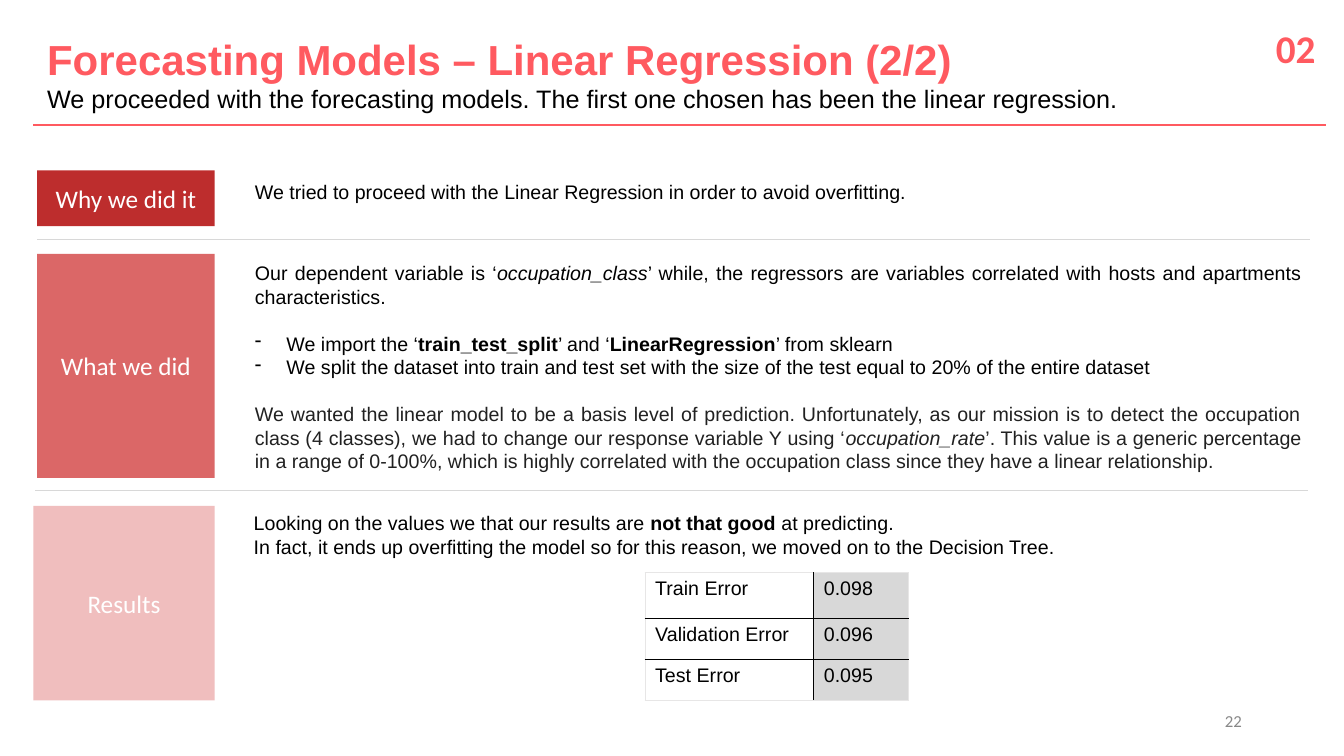
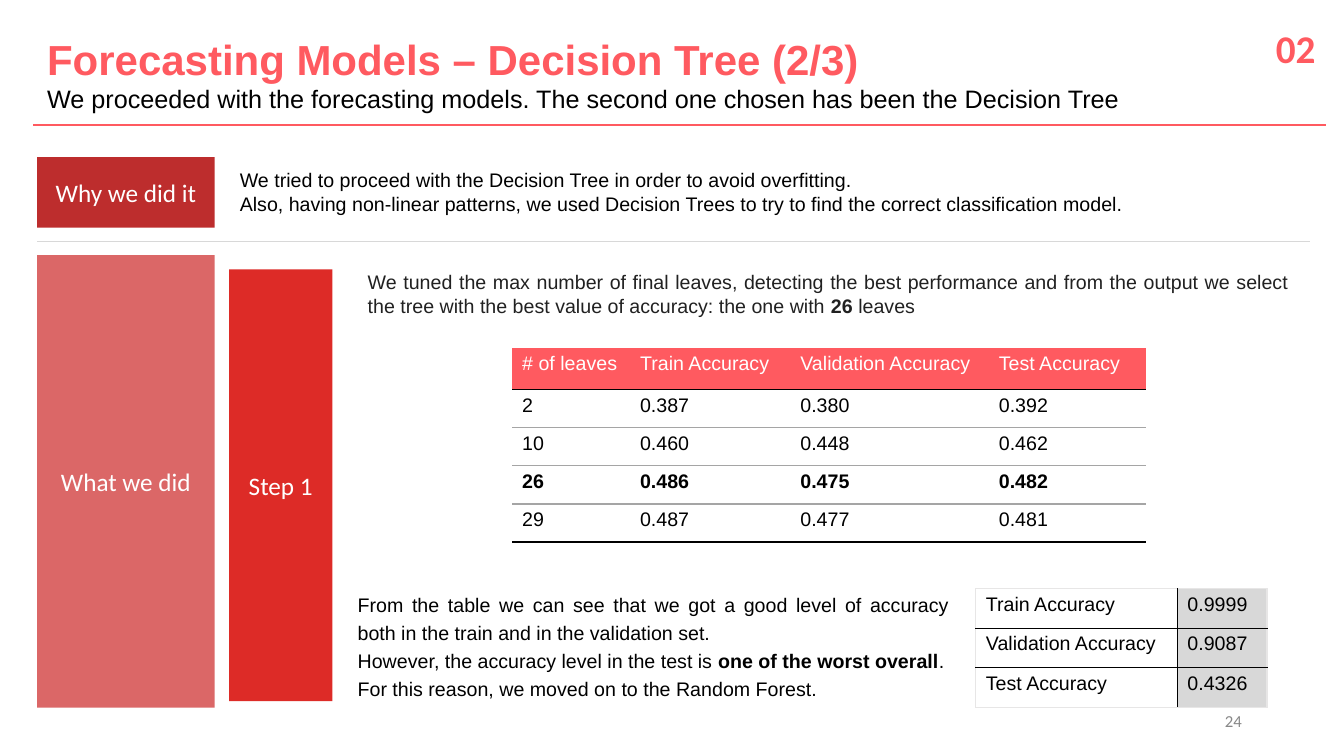
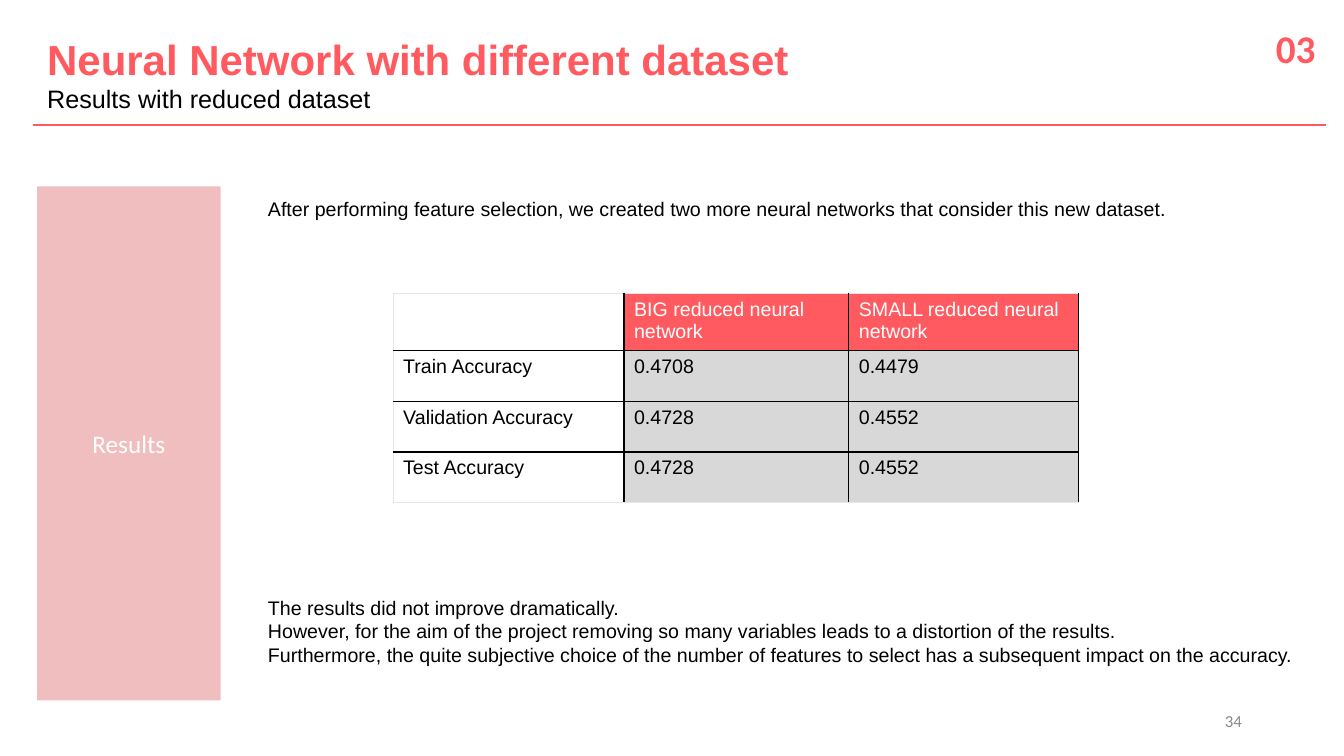
from pptx import Presentation
from pptx.dml.color import RGBColor
from pptx.enum.shapes import MSO_CONNECTOR, MSO_SHAPE
from pptx.enum.text import MSO_ANCHOR, PP_ALIGN
from pptx.oxml.ns import qn
from pptx.util import Pt
from lxml import etree

STRAIGHT = MSO_CONNECTOR.STRAIGHT
RECTANGLE = MSO_SHAPE.RECTANGLE
TOP, MIDDLE = MSO_ANCHOR.TOP, MSO_ANCHOR.MIDDLE
LEFT, CENTER, RIGHT, JUSTIFY = (
    PP_ALIGN.LEFT, PP_ALIGN.CENTER, PP_ALIGN.RIGHT, PP_ALIGN.JUSTIFY)

CORAL = RGBColor(0xFF, 0x5A, 0x60)
DARK_RED = RGBColor(0xBD, 0x2D, 0x2D)
STEP_RED = RGBColor(0xDD, 0x2B, 0x27)
ROSE = RGBColor(0xDB, 0x67, 0x67)
PINK = RGBColor(0xF0, 0xBE, 0xBE)
BLACK = RGBColor(0, 0, 0)
WHITE = RGBColor(0xFF, 0xFF, 0xFF)
CHARCOAL = RGBColor(0x21, 0x21, 0x21)
PAGE_GREY = RGBColor(0x88, 0x88, 0x88)
MID_GREY = RGBColor(0xA5, 0xA5, 0xA5)
CELL_GREY = RGBColor(0xD8, 0xD8, 0xD8)
EDGE_GREY = RGBColor(0xE7, 0xE6, 0xE6)

# Text styles
TITLE = {"name": "Arial", "size": Pt(30), "bold": True, "color": CORAL}
SUBTITLE = {"name": "Arial", "size": Pt(18), "color": BLACK}
SECTION = {"name": "Calibri", "size": Pt(28), "bold": True, "color": CORAL}
PAGE = {"name": "Calibri", "size": Pt(12), "color": PAGE_GREY}
LABEL = {"name": "Calibri", "size": Pt(18), "color": WHITE}
BODY = {"name": "Arial", "size": Pt(14), "color": BLACK}
DARK_BODY = {**BODY, "color": CHARCOAL}
HEADER = {**BODY, "color": WHITE}
BOLD, ITALIC = {"bold": True}, {"italic": True}

# Table border colours: outer sides, inner lines, line under the first row
FRAMED = {"left": EDGE_GREY, "top": EDGE_GREY, "right": EDGE_GREY,
          "bottom": EDGE_GREY, "column": BLACK, "row": BLACK, "first": BLACK}
RULED = {"left": None, "top": None, "right": None, "bottom": BLACK,
         "column": None, "row": MID_GREY, "first": BLACK}


def set_values(target, values):
    for name, value in values.items():
        if name == "color":
            target.color.rgb = value
        else:
            setattr(target, name, value)


def para(*spans, style=BODY, bullet=None, **values):
    """Describe a paragraph; a span is a text or a (text, format) pair."""
    return spans, style, bullet, values


def add_bullet(paragraph, mark):
    properties = paragraph._p.get_or_add_pPr()
    indent = Pt(22.5)
    properties.set("marL", str(indent))
    properties.set("indent", str(-indent))
    etree.SubElement(properties, qn("a:buChar")).set("char", mark)


def write(frame, paragraphs, align=LEFT):
    for index, (spans, style, bullet, values) in enumerate(paragraphs):
        paragraph = frame.add_paragraph() if index else frame.paragraphs[0]
        set_values(paragraph, {"alignment": align, **values})
        if bullet:
            add_bullet(paragraph, bullet)
        for span in spans:
            text, extra = (span, {}) if isinstance(span, str) else span
            run = paragraph.add_run()
            run.text = text
            set_values(run.font, {**style, **extra})


def add_text(slide, left, top, width, height, paragraphs, align=LEFT,
             **frame_values):
    box = slide.shapes.add_textbox(Pt(left), Pt(top), Pt(width), Pt(height))
    set_values(box.text_frame, {"word_wrap": True, "vertical_anchor": TOP,
                                **frame_values})
    write(box.text_frame, paragraphs, align)


def add_label(slide, left, top, width, height, text, color):
    box = slide.shapes.add_shape(RECTANGLE, Pt(left), Pt(top), Pt(width),
                                 Pt(height))
    box.shadow.inherit = False
    box.fill.solid()
    box.fill.fore_color.rgb = color
    box.line.fill.background()
    box.text_frame.vertical_anchor = MIDDLE
    write(box.text_frame, [para(text, style=LABEL)], CENTER)


def add_rule(slide, left, right, y, color=CELL_GREY, width=0.75):
    rule = slide.shapes.add_connector(STRAIGHT, Pt(left), Pt(y), Pt(right),
                                      Pt(y))
    rule.line.color.rgb = color
    rule.line.width = Pt(width)
    etree.SubElement(rule._element.spPr, qn("a:effectLst"))


def set_borders(cell, colors):
    properties = cell._tc.get_or_add_tcPr()
    for index, (tag, color) in enumerate(zip("LRTB", colors)):
        line = etree.Element(qn(f"a:ln{tag}"), w=str(Pt(1)))
        if color is None:
            etree.SubElement(line, qn("a:noFill"))
        else:
            fill = etree.SubElement(line, qn("a:solidFill"))
            etree.SubElement(fill, qn("a:srgbClr")).set("val", str(color))
        properties.insert(index, line)


def add_grid(slide, left, top, widths, heights, rows, borders, header=False,
             value_fill=None, bold_row=None):
    """Add a table; value_fill colours the cells right of the first column."""
    table = slide.shapes.add_table(
        len(rows), len(widths), Pt(left), Pt(top), Pt(sum(widths)),
        Pt(sum(heights))).table
    table.first_row = table.horz_banding = False
    for column, width in zip(table.columns, widths):
        column.width = Pt(width)
    for row, height in zip(table.rows, heights):
        row.height = Pt(height)

    across = [borders["left"], *[borders["column"]] * (len(widths) - 1),
              borders["right"]]
    down = [borders["top"], borders["first"],
            *[borders["row"]] * (len(rows) - 2), borders["bottom"]]
    for r, texts in enumerate(rows):
        for c, text in enumerate(texts):
            cell = table.cell(r, c)
            is_header = header and r == 0 and text
            fill = CORAL if is_header else value_fill if c else None
            if fill is None:
                cell.fill.background()
            else:
                cell.fill.solid()
                cell.fill.fore_color.rgb = fill
            set_borders(cell, (across[c], across[c + 1], down[r], down[r + 1]))
            if text:
                style = HEADER if is_header else BODY
                write(cell.text_frame,
                      [para(text, style={**style, "bold": r == bold_row})])


def add_page(deck, title, subtitle, section, number):
    """Add a slide with the shared title, rule, section and page number."""
    slide = deck.slides.add_slide(deck.slide_layouts[6])
    add_text(slide, 26.6, 27.4, 911, 50.4,
             [para(title, style=TITLE), para(subtitle, style=SUBTITLE)],
             vertical_anchor=MIDDLE)
    add_rule(slide, 23.8, 947.5, 89.3, CORAL, 1.5)
    add_text(slide, 904.3, 13.7, 43.2, 41, [para(section, style=SECTION)],
             word_wrap=False)
    add_text(slide, 678.2, 500.4, 216, 28.8, [para(number, style=PAGE)],
             RIGHT, vertical_anchor=MIDDLE)
    return slide


def build_regression(deck):
    slide = add_page(
        deck, "Forecasting Models – Linear Regression (2/2)",
        "We proceeded with the forecasting models. The first one chosen has "
        "been the linear regression.", "02", "22")

    # Why
    add_label(slide, 26.6, 121.7, 126.7, 39.8, "Why we did it", DARK_RED)
    add_text(slide, 175, 125.3, 762, 24.5, [
        para("We tried to proceed with the Linear Regression in order to "
             "avoid overfitting.")], JUSTIFY)
    add_rule(slide, 26.6, 936, 171.2)

    # What
    add_label(slide, 26.6, 181.4, 126.7, 160, "What we did", ROSE)
    add_text(slide, 175, 182.9, 762, 160, [
        para("Our dependent variable is ‘", ("occupation_class", ITALIC),
             "’ while, the regressors are variables correlated with hosts "
             "and apartments characteristics."),
        para("We import the ‘", ("train_test_split", BOLD), "’ and ‘",
             ("LinearRegression", BOLD), "’ from sklearn",
             bullet="-", space_before=Pt(16.8)),
        para("We split the dataset into train and test set with the size of "
             "the test equal to 20% of the entire dataset", bullet="-"),
        para("We wanted the linear model to be a basis level of prediction. "
             "Unfortunately, as our mission is to detect the occupation "
             "class (4 classes), we had to change our response variable Y "
             "using ‘", ("occupation_rate", ITALIC),
             "’. This value is a generic percentage in a range of 0-100%, "
             "which is highly correlated with the occupation class since "
             "they have a linear relationship.",
             style=DARK_BODY, space_before=Pt(16.8))], JUSTIFY)
    add_rule(slide, 25.2, 934.6, 350.6)

    # Results
    add_label(slide, 23.8, 361.4, 129.6, 139, "Results", PINK)
    add_text(slide, 174.2, 361.4, 762, 41, [
        para("Looking on the values we that our results are ",
             ("not that good ", BOLD), "at predicting."),
        para("In fact, it ends up overfitting the model so for this reason, "
             "we moved on to the Decision Tree.")], JUSTIFY)
    add_grid(slide, 460.8, 409, [120.5, 67.5], [33, 29.3, 29.3], [
        ("Train Error", "0.098"),
        ("Validation Error", "0.096"),
        ("Test Error", "0.095")], FRAMED, value_fill=CELL_GREY)


def build_tree(deck):
    slide = add_page(
        deck, "Forecasting Models – Decision Tree (2/3)",
        "We proceeded with the forecasting models. The second one chosen has "
        "been the Decision Tree", "02", "24")

    # Why
    add_label(slide, 26.6, 112.3, 126.7, 50.4, "Why we did it", DARK_RED)
    add_text(slide, 164.2, 116.6, 762, 41, [
        para("We tried to proceed with the Decision Tree in order to avoid "
             "overfitting."),
        para("Also, having non-linear patterns, we used Decision Trees to "
             "try to find the correct classification model.")], JUSTIFY)
    add_rule(slide, 26.6, 936, 172.6)

    # What, step 1
    add_label(slide, 26.6, 182.2, 126.7, 323.3, "What we did", ROSE)
    add_label(slide, 163.7, 192.5, 73.7, 308.4, "Step 1", STEP_RED)
    add_text(slide, 255.6, 189.4, 672.5, 41, [
        para("We tuned the max number of final leaves, detecting the best "
             "performance and from the output we select the tree with the "
             "best value of accuracy: the one with ", ("26", BOLD),
             " leaves", style=DARK_BODY)], JUSTIFY, vertical_anchor=MIDDLE)
    add_grid(slide, 365.8, 248.4, [84.2, 114.5, 141.8, 112.3],
             [30] + [27.2] * 4, [
        ("# of leaves", "Train Accuracy", "Validation Accuracy",
         "Test Accuracy"),
        ("2", "0.387", "0.380", "0.392"),
        ("10", "0.460", "0.448", "0.462"),
        ("26", "0.486", "0.475", "0.482"),
        ("29", "0.487", "0.477", "0.481")], RULED, header=True, bold_row=3)

    # Outcome
    add_text(slide, 248.4, 412.6, 437, 92.9, [
        para("From the table we can see that we got a good level of accuracy "
             "both in the train and in the validation set.",
             line_spacing=1.2),
        para("However, the accuracy level in the test is ",
             ("one of the worst overall", BOLD), ".", line_spacing=1.2),
        para("For this reason, we moved on to the Random Forest.",
             line_spacing=1.2)],
        JUSTIFY, margin_top=Pt(7.2), margin_bottom=Pt(7.2))
    add_grid(slide, 697, 420.5, [144, 64], [28.2, 28.4, 28.4], [
        ("Train Accuracy", "0.9999"),
        ("Validation Accuracy", "0.9087"),
        ("Test Accuracy", "0.4326")], FRAMED, value_fill=CELL_GREY)


def build_network(deck):
    slide = add_page(deck, "Neural Network with different dataset",
                     "Results with reduced dataset", "03", "34")
    margins = {"margin_top": Pt(7.2), "margin_bottom": Pt(7.2)}
    add_label(slide, 26.6, 133.2, 131, 367.2, "Results", PINK)
    add_text(slide, 184.3, 133.2, 656.6, 48, [
        para("After performing feature selection, we created two more neural "
             "networks that consider this new dataset.")], **margins)
    add_grid(slide, 280.8, 209.5, [164.9, 160.6, 164.2],
             [41] + [36.2] * 3, [
        ("", "BIG reduced neural network", "SMALL reduced neural network"),
        ("Train Accuracy", "0.4708", "0.4479"),
        ("Validation Accuracy", "0.4728", "0.4552"),
        ("Test Accuracy", "0.4728", "0.4552")],
        {**FRAMED, "right": BLACK}, header=True, value_fill=CELL_GREY)
    add_text(slide, 184.3, 418.3, 752.4, 65.5, [
        para("The results did not improve dramatically."),
        para("However, for the aim of the project removing so many variables "
             "leads to a distortion of the results."),
        para("Furthermore, the quite subjective choice of the number of "
             "features to select has a subsequent impact on the accuracy.",
             alignment=JUSTIFY)], **margins)


def main():
    deck = Presentation()
    deck.slide_width, deck.slide_height = Pt(960), Pt(540)
    build_regression(deck)
    build_tree(deck)
    build_network(deck)
    deck.save("out.pptx")


if __name__ == "__main__":
    main()
